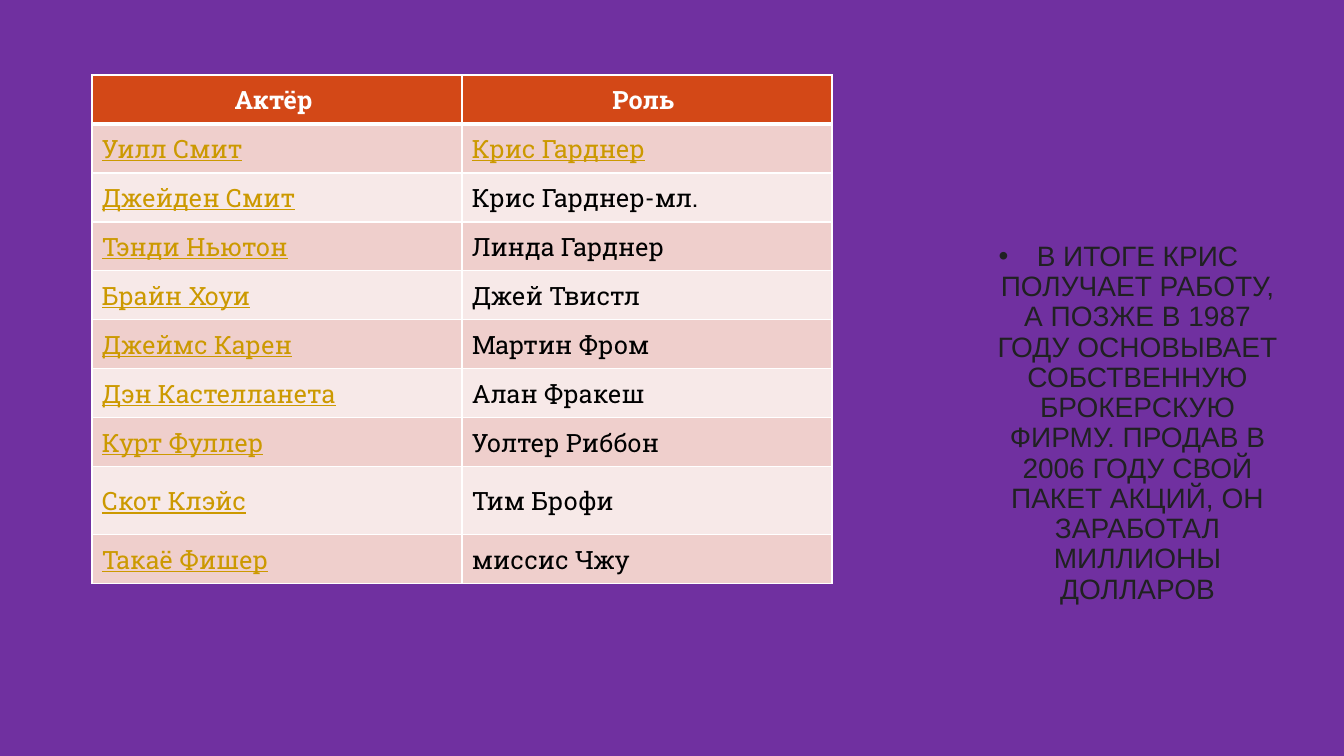
from lxml import etree
from pptx import Presentation
from pptx.dml.color import RGBColor
from pptx.enum.text import MSO_ANCHOR, PP_ALIGN
from pptx.oxml.ns import qn
from pptx.util import Pt

EMU_PER_PX = 914400 / 100.8
CENTER, LEFT = PP_ALIGN.CENTER, PP_ALIGN.LEFT
MIDDLE, BOTTOM = MSO_ANCHOR.MIDDLE, MSO_ANCHOR.BOTTOM

PURPLE, ORANGE, WHITE, BLACK = "7030A0", "D34817", "FFFFFF", "000000"
GOLD, INK = "CC9900", "202122"
BANDS = ("F7E9E8", "EFCFCC")

CAST = [
    ("Актёр", "Роль"),
    ("Уилл Смит", "Крис Гарднер"),
    ("Джейден Смит", "Крис Гарднер-мл."),
    ("Тэнди Ньютон", "Линда Гарднер"),
    ("Брайн Хоуи", "Джей Твистл"),
    ("Джеймс Карен", "Мартин Фром"),
    ("Дэн Кастелланета", "Алан Фракеш"),
    ("Курт Фуллер", "Уолтер Риббон"),
    ("Скот Клэйс", "Тим Брофи"),
    ("Такаё Фишер", "миссис Чжу"),
]
TALL_ROW = 8
ENDING = (
    "В ИТОГЕ КРИС ПОЛУЧАЕТ РАБОТУ, А ПОЗЖЕ В 1987 ГОДУ ОСНОВЫВАЕТ "
    "СОБСТВЕННУЮ БРОКЕРСКУЮ ФИРМУ. ПРОДАВ В 2006 ГОДУ СВОЙ ПАКЕТ АКЦИЙ, "
    "ОН ЗАРАБОТАЛ МИЛЛИОНЫ ДОЛЛАРОВ"
)


def px(length):
    """Turn pixels into EMU."""
    return round(length * EMU_PER_PX)


def color(hex_code):
    """Turn a hex string into a colour."""
    return RGBColor.from_string(hex_code)


def add_run(paragraph, words, font, size, ink, bold=False, underline=False):
    """Add one styled run to a paragraph."""
    run = paragraph.add_run()
    run.text = words
    run.font.name, run.font.size = font, Pt(size)
    run.font.bold, run.font.underline = bold, underline
    run.font.color.rgb = color(ink)


def set_borders(cell, widths):
    """Draw white cell borders from widths in points keyed by side."""
    properties = cell._tc.get_or_add_tcPr()
    for side in "LRTB":
        line = etree.SubElement(properties, qn(f"a:ln{side}"), w=str(Pt(widths[side])))
        fill = etree.SubElement(line, qn("a:solidFill"))
        etree.SubElement(fill, qn("a:srgbClr"), val=WHITE)


def fill_cell(cell, words, row, column):
    """Style one cell of the cast table and write its words."""
    header = row == 0
    linked = column == 0 or row == 1
    set_borders(cell, {"L": 1, "R": 1, "T": 3 if row == 1 else 1, "B": 3 if header else 1})
    cell.fill.solid()
    cell.fill.fore_color.rgb = color(ORANGE if header else BANDS[row % 2])
    cell.vertical_anchor = MIDDLE
    cell.margin_left = px(10)
    cell.margin_right = px(17 if header else 10)
    cell.margin_top = cell.margin_bottom = px(5)
    paragraph = cell.text_frame.paragraphs[0]
    paragraph.alignment = CENTER if header else LEFT
    ink = WHITE if header else GOLD if linked else BLACK
    add_run(paragraph, words, "Roboto Slab", 18, ink, header, linked and not header)


def add_cast_table(slide, left, top, width, row_height, tall_height):
    """Build the table of actors and roles."""
    height = row_height * (len(CAST) - 1) + tall_height
    frame = slide.shapes.add_table(len(CAST), 2, px(left), px(top), px(width), px(height))
    table = frame.table
    for column in table.columns:
        column.width = px(width // 2)
    for row, names in enumerate(CAST):
        table.rows[row].height = px(tall_height if row == TALL_ROW else row_height)
        for column, words in enumerate(names):
            fill_cell(table.cell(row, column), words, row, column)


def add_ending(slide, left, top, width, height):
    """Write the bulleted ending of the story at the bottom of its box."""
    box = slide.shapes.add_textbox(px(left), px(top), px(width), px(height))
    frame = box.text_frame
    frame.word_wrap = True
    frame.vertical_anchor = BOTTOM
    paragraph = frame.paragraphs[0]
    paragraph.alignment = CENTER
    paragraph.line_spacing = 0.9
    properties = paragraph._p.get_or_add_pPr()
    properties.set("marL", str(px(38)))
    properties.set("indent", str(px(-38)))
    etree.SubElement(properties, qn("a:buFont"), typeface="Arial")
    etree.SubElement(properties, qn("a:buChar"), char="•")
    add_run(paragraph, ENDING, "Arial", 20, INK)


def main():
    """Build and save the slide."""
    deck = Presentation()
    deck.slide_width, deck.slide_height = px(1344), px(756)
    slide = deck.slides.add_slide(deck.slide_layouts[6])
    slide.background.fill.solid()
    slide.background.fill.fore_color.rgb = color(PURPLE)
    add_ending(slide, 942, 125, 353, 485)
    add_cast_table(slide, 92, 75, 740, 49, 68)
    deck.save("out.pptx")


if __name__ == "__main__":
    main()
